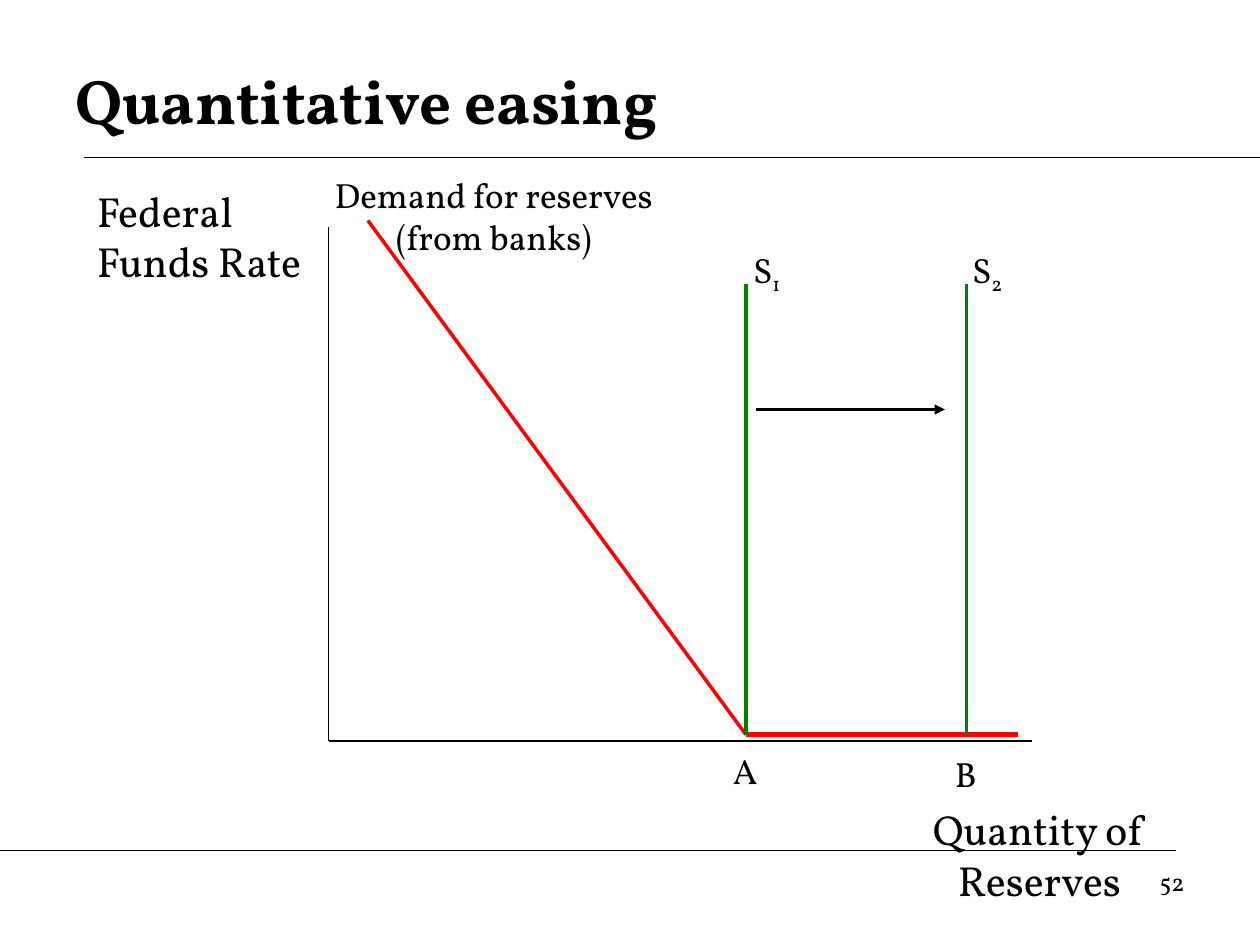
from dataclasses import dataclass

from lxml import etree
from pptx import Presentation
from pptx.dml.color import RGBColor
from pptx.enum.shapes import MSO_CONNECTOR
from pptx.enum.text import MSO_ANCHOR, PP_ALIGN
from pptx.oxml.ns import qn
from pptx.util import Inches, Pt

STRAIGHT = MSO_CONNECTOR.STRAIGHT
TOP, MIDDLE = MSO_ANCHOR.TOP, MSO_ANCHOR.MIDDLE
LEFT, CENTER, RIGHT = PP_ALIGN.LEFT, PP_ALIGN.CENTER, PP_ALIGN.RIGHT


@dataclass(frozen=True)
class Theme:
    font: str = "Vollkorn"
    ink: str = "000000"
    demand: str = "FF0000"
    supply: str = "008000"
    title_size: int = 36
    axis_size: int = 24
    label_size: int = 20
    number_size: int = 14
    thin: float = 0.75
    arrow: float = 1.5
    curve: float = 2
    floor: float = 3


class SlideBuilder:
    def __init__(self, slide, theme):
        self.slide = slide
        self.theme = theme

    def line(self, start, end, color, width, arrow=False):
        points = [Inches(value) for value in (*start, *end)]
        connector = self.slide.shapes.add_connector(STRAIGHT, *points)
        connector.line.color.rgb = RGBColor.from_string(color)
        connector.line.width = Pt(width)
        if arrow:
            outline = connector.line._get_or_add_ln()
            etree.SubElement(outline, qn("a:tailEnd"), type="triangle")
        properties = connector._element.spPr
        etree.SubElement(properties, qn("a:effectLst"))

    def text(self, box, lines, size, align=CENTER, bold=False, anchor=TOP, subscript=""):
        """Write lines as one paragraph, with an optional subscript at its end."""
        shape = self.slide.shapes.add_textbox(*[Inches(value) for value in box])
        frame = shape.text_frame
        frame.word_wrap = True
        frame.vertical_anchor = anchor
        paragraph = frame.paragraphs[0]
        paragraph.alignment = align
        for index, line in enumerate(lines):
            if index:
                paragraph.add_line_break()
            self.run(paragraph, line, size, bold)
        if subscript:
            run = self.run(paragraph, subscript, size, bold)
            run.font._element.set("baseline", "-25000")

    def run(self, paragraph, text, size, bold):
        run = paragraph.add_run()
        run.text = text
        run.font.name = self.theme.font
        run.font.size = Pt(size)
        run.font.bold = bold
        run.font.color.rgb = RGBColor.from_string(self.theme.ink)
        return run

    def label(self, left, top, text, subscript=""):
        self.text((left, top, 0.83, 0.43), [text], self.theme.label_size, subscript=subscript)


def main():
    presentation = Presentation()
    presentation.slide_width = Inches(10)
    presentation.slide_height = Inches(7.5)
    slide = presentation.slides.add_slide(presentation.slide_layouts[6])
    theme = Theme()
    builder = SlideBuilder(slide, theme)

    # Title and footer rules
    builder.line((0.67, 1.25), (10, 1.25), theme.ink, theme.thin)
    builder.line((0, 6.75), (9.33, 6.75), theme.ink, theme.thin)
    builder.text((0.5, 0.33, 9, 0.92), ["Quantitative easing"], theme.title_size,
                 LEFT, bold=True, anchor=MIDDLE)
    builder.text((7.17, 6.83, 2.33, 0.52), ["52"], theme.number_size, RIGHT)

    # Axes
    origin = (2.61, 5.88)
    for axis_end in ((2.61, 1.8), (8.19, 5.88)):
        builder.line(origin, axis_end, theme.ink, theme.thin)
    builder.text((6.75, 6.33, 3, 0.9), ["Quantity of Reserves"], theme.axis_size)
    builder.text((0.67, 1.42, 2.33, 0.9), ["Federal", "Funds Rate"], theme.axis_size, LEFT)

    # Demand falls to the zero floor at A, then runs flat
    floor_y = 5.83
    supply_a, supply_b = 5.92, 7.67
    kink = (supply_a, floor_y)
    builder.line((2.92, 1.75), kink, theme.demand, theme.curve)
    builder.line(kink, (8.08, floor_y), theme.demand, theme.floor)
    builder.text((2.42, 1.33, 3, 0.77), ["Demand for reserves", "(from banks)"], theme.label_size)

    # Supply moves from A to B
    supplies = ((supply_a, "1", "A", 5.9), (supply_b, "2", "B", 5.92))
    for x, number, quantity, quantity_top in supplies:
        builder.line((x, floor_y), (x, 2.25), theme.supply, theme.curve)
        builder.label(x - 0.25, 1.92, "S", number)
        builder.label(x - 0.42, quantity_top, quantity)
    builder.line((6, 3.25), (7.5, 3.25), theme.ink, theme.arrow, arrow=True)

    presentation.save("out.pptx")


if __name__ == "__main__":
    main()
